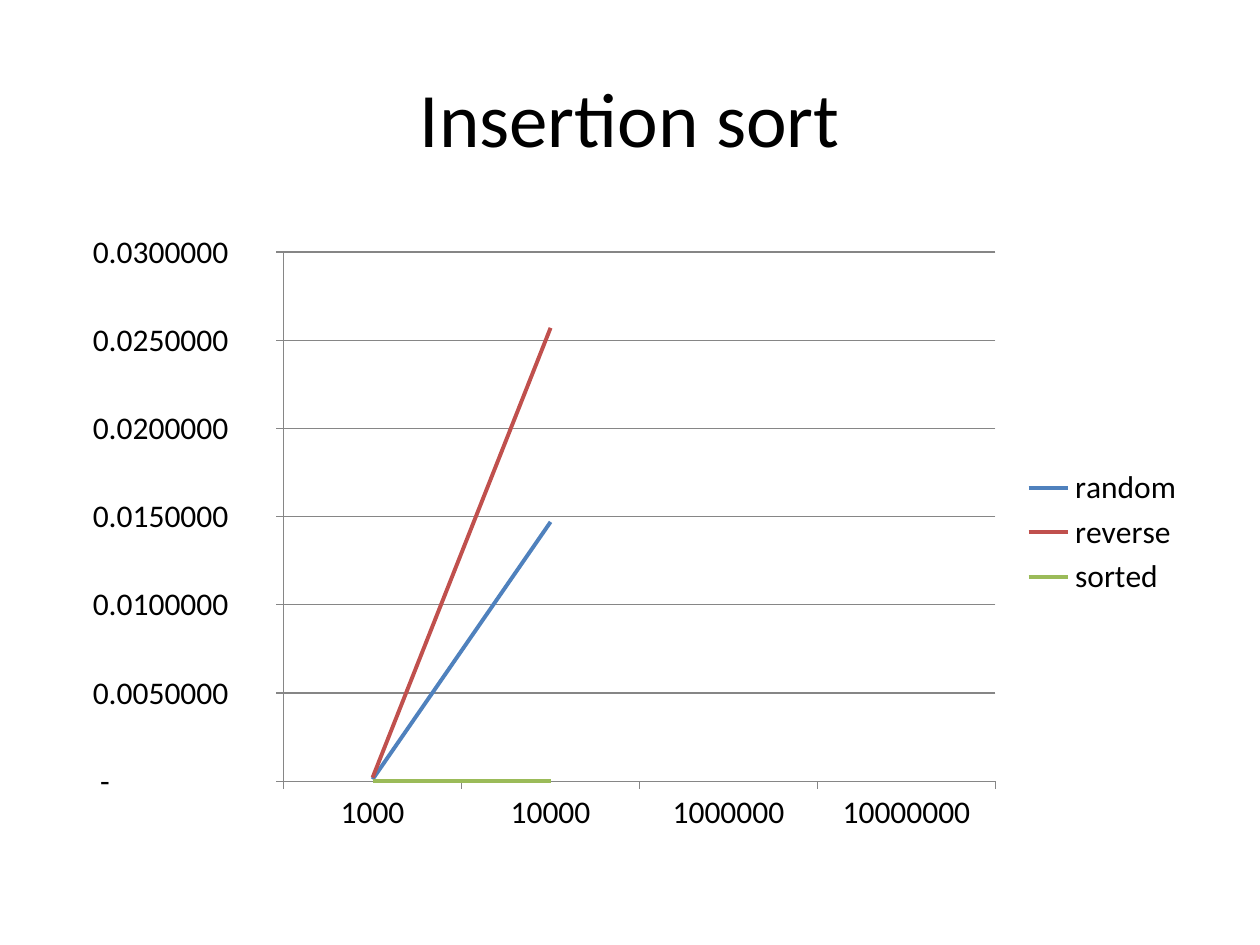
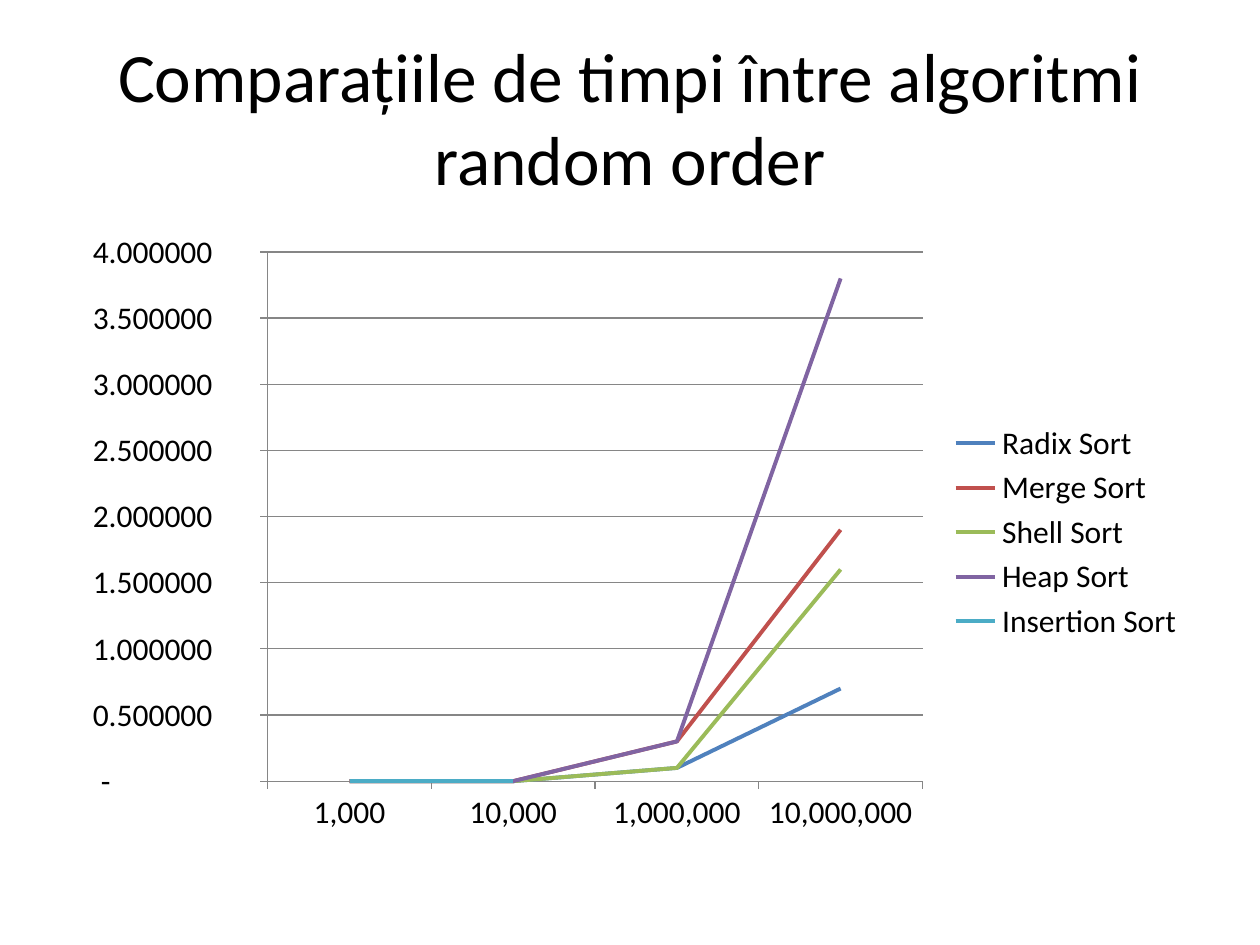
"""Two slides with line charts that compare the running times of sorting algorithms."""
from pptx import Presentation
from pptx.chart.data import CategoryChartData
from pptx.dml.color import RGBColor
from pptx.enum.chart import XL_CHART_TYPE, XL_LEGEND_POSITION, XL_TICK_MARK
from pptx.enum.text import MSO_ANCHOR, PP_ALIGN
from pptx.util import Inches, Pt

LINE_CHART = XL_CHART_TYPE.LINE
LEGEND_RIGHT = XL_LEGEND_POSITION.RIGHT
TICK_OUTSIDE = XL_TICK_MARK.OUTSIDE
TICK_NONE = XL_TICK_MARK.NONE
MIDDLE = MSO_ANCHOR.MIDDLE
CENTER = PP_ALIGN.CENTER

FONT = "Calibri"
BLACK = RGBColor(0x00, 0x00, 0x00)
WHITE = RGBColor(0xFF, 0xFF, 0xFF)
GREY = RGBColor(0x86, 0x86, 0x86)
SERIES_COLORS = [
    RGBColor(0x4F, 0x81, 0xBD),
    RGBColor(0xC0, 0x50, 0x4D),
    RGBColor(0x9B, 0xBB, 0x59),
    RGBColor(0x80, 0x64, 0xA2),
    RGBColor(0x4B, 0xAC, 0xC6),
]

TITLE_ONLY_LAYOUT = 5
TITLE_BOX = [Inches(length) for length in (0.5, 0.3, 9, 1.25)]
CHART_BOX = [Inches(length) for length in (0.5, 1.75, 9, 4.95)]

INPUT_SIZES = [1000, 10000, 1000000, 10000000]
INSERTION_TIMES = [
    ("random", [0.0001, 0.0147, None, None]),
    ("reverse", [0.0002, 0.0257, None, None]),
    ("sorted", [0, 0, None, None]),
]
RANDOM_ORDER_TIMES = [
    ("Radix Sort", [0, 0, 0.1, 0.7]),
    ("Merge Sort", [0, 0, 0.3, 1.9]),
    ("Shell Sort", [0, 0, 0.1, 1.6]),
    ("Heap Sort", [0, 0, 0.3, 3.8]),
    ("Insertion Sort", [0, 0, None, None]),
]


def accounting_format(decimals):
    """Return the accounting number format, which shows zero as a dash."""
    number = "#,##0." + "0" * decimals
    blanks = "?" * decimals
    unit = r"\ _l_e_i_-"
    return f'_-* {number}{unit};\\-* {number}{unit};_-* "-"{blanks}{unit};_-@_-'


def add_title(slide, box, lines, size):
    """Place the title placeholder in the box and fill it line by line."""
    title = slide.shapes.title
    title.left, title.top, title.width, title.height = box
    title.text_frame.vertical_anchor = MIDDLE
    title.text_frame.word_wrap = True
    paragraph = title.text_frame.paragraphs[0]
    paragraph.alignment = CENTER
    for index, line in enumerate(lines):
        if index:
            paragraph.add_line_break()
        run = paragraph.add_run()
        run.text = line
        run.font.name = FONT
        run.font.size = Pt(size)
        run.font.color.rgb = BLACK


def style_line(line, color, width):
    """Give a line its colour and its width in points."""
    line.color.rgb = color
    line.width = Pt(width)


def style_axis(axis, number_format):
    """Set ticks, line and number format of a chart axis."""
    axis.major_tick_mark = TICK_OUTSIDE
    axis.minor_tick_mark = TICK_NONE
    axis.tick_labels.number_format = number_format
    axis.tick_labels.number_format_is_linked = False
    style_line(axis.format.line, GREY, 0.75)


def add_time_chart(slide, box, times, size_format, decimals, maximum, step):
    """Draw the running times against the input sizes, with a legend at the right."""
    data = CategoryChartData(number_format=accounting_format(decimals))
    data.categories = INPUT_SIZES
    data.categories.number_format = size_format
    for name, values in times:
        data.add_series(name, values)
    chart = slide.shapes.add_chart(LINE_CHART, *box, data).chart
    chart.has_title = False
    chart.font.name = FONT
    chart.font.size = Pt(18)
    chart.font.color.rgb = BLACK
    chart.has_legend = True
    chart.legend.position = LEGEND_RIGHT
    chart.legend.include_in_layout = False

    style_axis(chart.category_axis, size_format)
    value_axis = chart.value_axis
    style_axis(value_axis, accounting_format(decimals))
    value_axis.minimum_scale = 0
    value_axis.maximum_scale = maximum
    value_axis.major_unit = step
    value_axis.has_major_gridlines = True
    style_line(value_axis.major_gridlines.format.line, GREY, 0.75)

    plot = chart.plots[0]
    plot.vary_by_categories = False
    for series, color in zip(plot.series, SERIES_COLORS):
        series.smooth = False
        style_line(series.format.line, color, 2.25)


def add_chart_slide(presentation, title_lines, title_size, *chart_settings):
    """Add a white slide with a title above a chart of running times."""
    layout = presentation.slide_layouts[TITLE_ONLY_LAYOUT]
    slide = presentation.slides.add_slide(layout)
    slide.background.fill.solid()
    slide.background.fill.fore_color.rgb = WHITE
    add_title(slide, TITLE_BOX, title_lines, title_size)
    add_time_chart(slide, CHART_BOX, *chart_settings)


def main():
    """Build and save the presentation."""
    presentation = Presentation()
    presentation.slide_width = Inches(10)
    presentation.slide_height = Inches(7.5)
    add_chart_slide(presentation, ["Insertion sort"], 44,
                    INSERTION_TIMES, "General", 7, 0.03, 0.005)
    add_chart_slide(presentation,
                    ["Comparațiile de timpi între algoritmi", "random order"], 39.6,
                    RANDOM_ORDER_TIMES, "#,##0", 6, 4, 0.5)
    presentation.save("out.pptx")


main()
